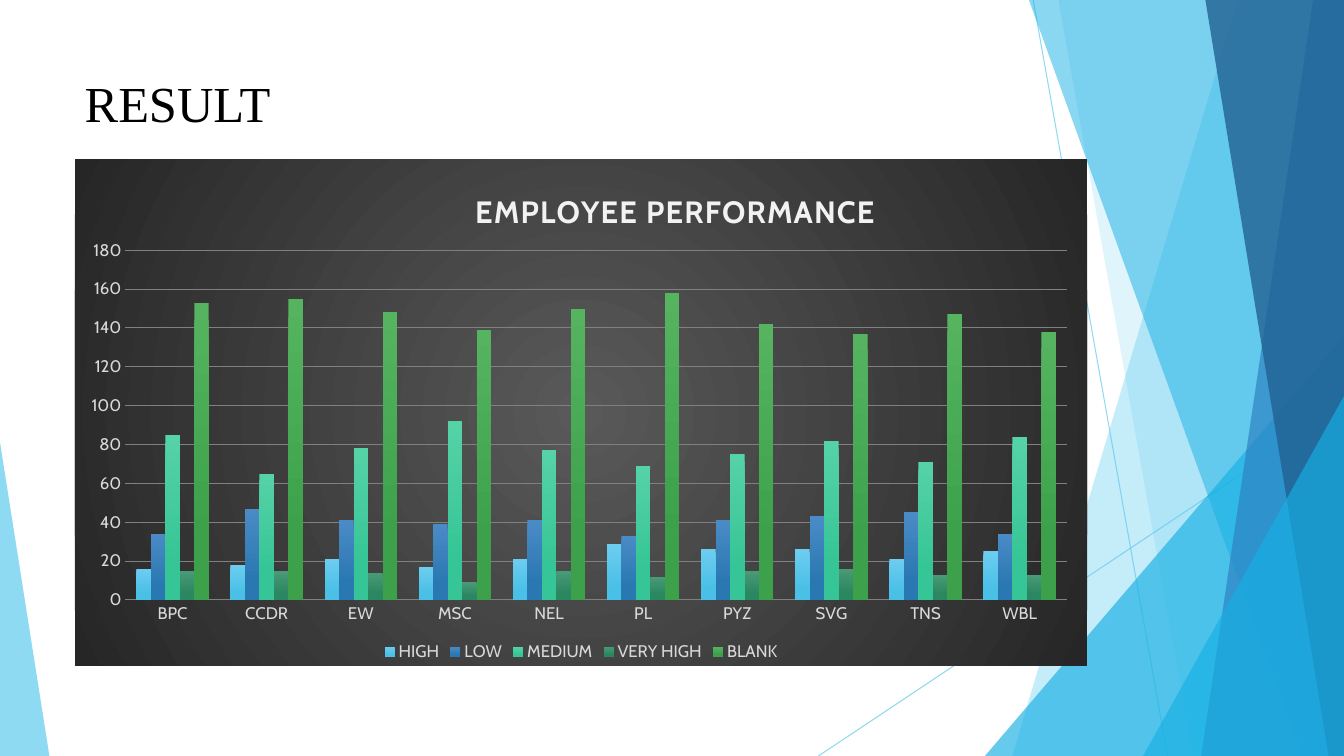
from lxml import etree
from pptx import Presentation
from pptx import util as u
from pptx.chart.data import CategoryChartData
from pptx.dml.color import RGBColor
from pptx.enum import chart as ce, dml, shapes, text
from pptx.oxml import parse_xml
from pptx.oxml.ns import nsdecls, qn

Pt = u.Pt
W, H = 960, 540
COLORS = {
    "sky": "5FCBEF", "cyan": "17B0E4", "blue": "2E83C3", "navy": "226292",
    "black": "000000", "label": "D9D9D9", "heading": "F2F2F2",
    "grid": "808080", "center": "595959", "edge": "262626",
}
SITES = ["BPC", "CCDR", "EW", "MSC", "NEL", "PL", "PYZ", "SVG", "TNS", "WBL"]
SERIES = [
    ("HIGH", [16, 18, 21, 17, 21, 29, 26, 26, 21, 25], "6CCDF0", "4BC0E6"),
    ("LOW", [34, 47, 41, 39, 41, 33, 41, 43, 45, 34], "4A8BC6", "2A78B2"),
    ("MEDIUM", [85, 65, 78, 92, 77, 69, 75, 82, 71, 84], "56D2A7", "36C596"),
    ("VERY HIGH", [15, 15, 14, 9, 15, 12, 15, 16, 13, 13], "4A9A76", "2A8762"),
    ("BLANK", [153, 155, 148, 139, 150, 158, 142, 137, 147, 138], "56B461", "3CA14A"),
]


def rgb(name):
    return RGBColor.from_string(COLORS.get(name, name))


def set_alpha(sp, percent):
    for clr in sp._element.spPr.iter(qn("a:srgbClr")):
        etree.SubElement(clr, qn("a:alpha")).set("val", str(percent * 1000))


def paint(sp, color, opacity):
    sp.shadow.inherit = False
    sp.fill.solid()
    sp.fill.fore_color.rgb = rgb(color)
    set_alpha(sp, opacity)
    sp.line.fill.background()


def add_ray(s, x1, y1, x2, y2):
    ray = s.shapes.add_connector(shapes.MSO_CONNECTOR.STRAIGHT, Pt(x1), Pt(y1), Pt(x2), Pt(y2))
    ray.line.color.rgb = rgb("sky")
    ray.line.width = Pt(0.75)
    set_alpha(ray, 70)
    etree.SubElement(ray._element.spPr, qn("a:effectLst"))


def add_band(s, top_x, bottom_x, color, opacity):
    builder = s.shapes.build_freeform(top_x, 0, scale=float(Pt(1)))
    builder.add_line_segments([(W, 0), (W, H), (bottom_x, H)], close=True)
    paint(builder.convert_to_shape(), color, opacity)


def add_corner(s, x, y, w, apex, color, opacity):
    sp = s.shapes.add_shape(shapes.MSO_SHAPE.ISOSCELES_TRIANGLE, Pt(x), Pt(y), Pt(w), Pt(H - y))
    sp.adjustments[0] = apex
    paint(sp, color, opacity)


def add_run(p, words, size, color, font):
    r = p.add_run()
    r.text = words
    r.font.size = Pt(size)
    r.font.name = font
    r.font.color.rgb = rgb(color)
    return r


def add_title(s, words):
    sp = s.shapes.title
    sp.left, sp.top, sp.width, sp.height = Pt(53.3), Pt(48), Pt(677), Pt(104)
    tf = sp.text_frame
    tf.word_wrap = True
    tf.auto_size = text.MSO_AUTO_SIZE.NONE
    tf.vertical_anchor = text.MSO_ANCHOR.TOP
    p = tf.paragraphs[0]
    p.alignment = text.PP_ALIGN.LEFT
    add_run(p, words, 36, "black", "Times New Roman")


def style_font(font, size, color):
    font.size = Pt(size)
    font.name = "Cabin"
    font.color.rgb = rgb(color)


def place(parent, tag, after, **fractions):
    for old in parent.findall(qn("c:layout")):
        parent.remove(old)
    target = f'<c:layoutTarget val="{tag}"/>' if tag else ""
    modes = '<c:xMode val="edge"/><c:yMode val="edge"/>'
    values = "".join(f'<c:{key} val="{val}"/>' for key, val in fractions.items())
    parent.insert(after, parse_xml(
        f'<c:layout {nsdecls("c")}><c:manualLayout>{target}{modes}{values}'
        "</c:manualLayout></c:layout>"))


def fill_chart_area(chart):
    chart._chartSpace.find(qn("c:chart")).addnext(parse_xml(
        f'<c:spPr {nsdecls("c", "a")}><a:gradFill><a:gsLst>'
        f'<a:gs pos="0"><a:srgbClr val="{COLORS["center"]}"/></a:gs>'
        f'<a:gs pos="100000"><a:srgbClr val="{COLORS["edge"]}"/></a:gs></a:gsLst>'
        '<a:path path="circle"><a:fillToRect l="50000" t="50000" r="50000" b="50000"/></a:path>'
        "</a:gradFill><a:ln><a:noFill/></a:ln></c:spPr>"))


def style_axis(axis):
    axis.major_tick_mark = axis.minor_tick_mark = ce.XL_TICK_MARK.NONE
    axis.format.line.fill.background()
    style_font(axis.tick_labels.font, 12, "label")


def style_series(series, top, bottom):
    fill = series.format.fill
    fill.gradient()
    fill.gradient_angle = 270
    for stop, position, color in zip(fill.gradient_stops, (0, 0.78), (top, bottom)):
        stop.position = position
        stop.color.rgb = rgb(color)
    series.format.line.fill.background()
    series.invert_if_negative = False


def add_performance_chart(s):
    data = CategoryChartData()
    data.categories = SITES
    for name, values, _, _ in SERIES:
        data.add_series(name, values)
    chart = s.shapes.add_chart(ce.XL_CHART_TYPE.COLUMN_CLUSTERED, Pt(53.5), Pt(113.6),
                               Pt(723), Pt(362), data).chart
    style_font(chart.font, 10, "black")
    fill_chart_area(chart)

    chart.has_title = True
    heading = add_run(chart.chart_title.text_frame.paragraphs[0],
                      "EMPLOYEE PERFORMANCE", 22, "heading", "Cabin")
    heading.font.bold = True
    heading.font._element.set("spc", "100")
    place(chart.chart_title._element, None, 1, x=0.39, y=0.05)
    chart.chart_title.include_in_layout = False

    plot = chart.plots[0]
    plot.gap_width, plot.overlap = 150, 0
    plot.vary_by_categories = False
    for series, (_, _, top, bottom) in zip(plot.series, SERIES):
        style_series(series, top, bottom)
    place(chart._chartSpace.chart.plotArea, "inner", 0, x=0.05, y=0.18, w=0.93, h=0.69)

    for axis in (chart.category_axis, chart.value_axis):
        style_axis(axis)
    values = chart.value_axis
    values.minimum_scale, values.maximum_scale, values.major_unit = 0, 180, 20
    values.has_major_gridlines = True
    grid = values.major_gridlines.format.line
    grid.width = Pt(0.75)
    grid.dash_style = dml.MSO_LINE.SOLID
    grid.color.rgb = rgb("grid")

    chart.has_legend = True
    chart.legend.position = ce.XL_LEGEND_POSITION.BOTTOM
    chart.legend.include_in_layout = False
    style_font(chart.legend.font, 12, "label")


def main():
    prs = Presentation()
    prs.slide_width, prs.slide_height = Pt(W), Pt(H)
    s = prs.slides.add_slide(prs.slide_layouts[5])
    add_ray(s, 738, 0, 834, H)
    add_ray(s, W, 290, 584.6, H)
    add_band(s, 884, 723, "sky", 36)
    add_band(s, 756, 852, "sky", 20)
    add_corner(s, 703.5, 240, 256.5, 1, "cyan", 66)
    add_band(s, 735, 929.5, "cyan", 50)
    add_band(s, 938, 858, "blue", 70)
    add_band(s, 861, 949, "navy", 80)
    add_corner(s, 816.5, 283, 143.5, 1, "cyan", 66)
    add_corner(s, 0, 316, 35.3, 0, "sky", 70)
    add_title(s, "RESULT")
    add_performance_chart(s)
    prs.save("out.pptx")


if __name__ == "__main__":
    main()
